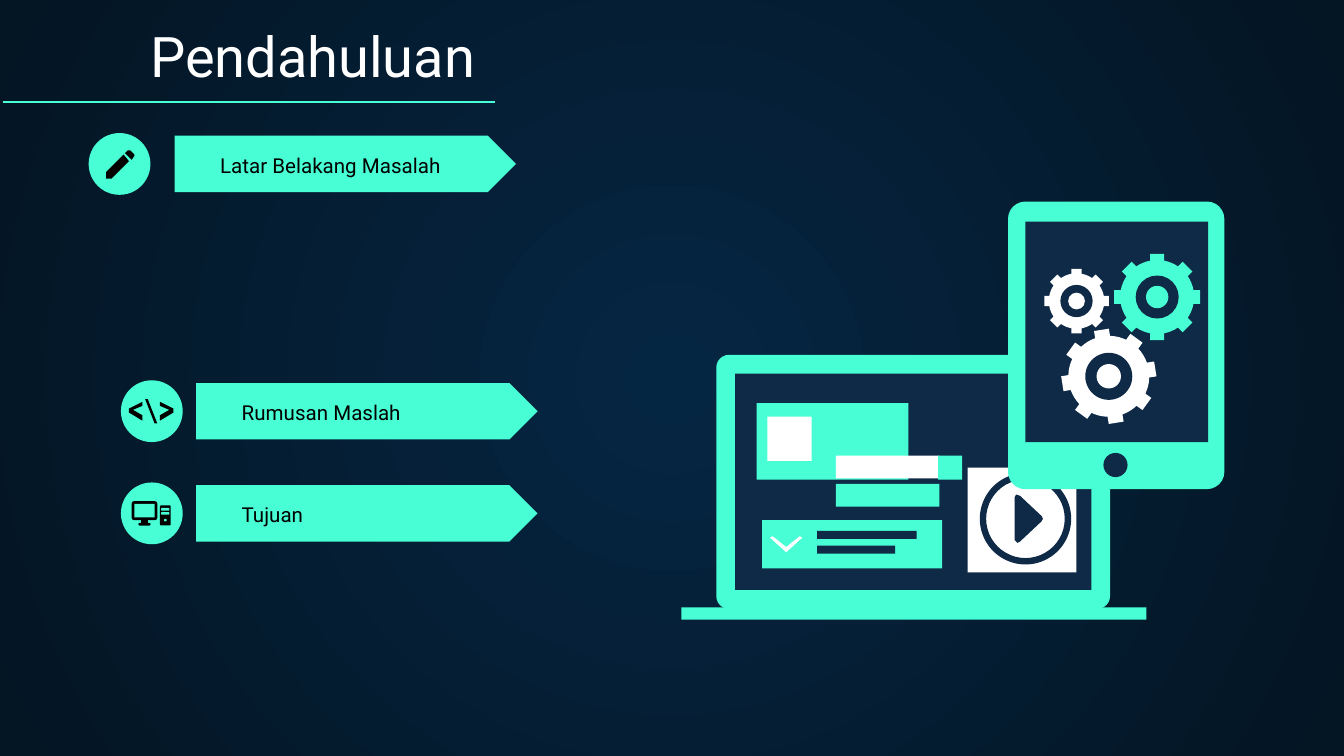
import math
from dataclasses import dataclass

import pptx
import pptx.util
import pptx.dml.color
import pptx.enum.shapes
import pptx.enum.text
import pptx.oxml
import pptx.oxml.ns
from lxml import etree

Inches = pptx.util.Inches
MSO = pptx.enum.shapes.MSO_SHAPE
qn = pptx.oxml.ns.qn
FONT = "Roboto"
COLORS = {
    "glow": "052643",
    "night": "041523",
    "mint": "48FFD5",
    "navy": "0E2A47",
    "white": "FFFFFF",
    "black": "000000",
}


@dataclass
class Topic:
    label: str
    left: float
    top: float
    icon_left: float


@dataclass
class Block:
    kind: MSO
    left: float
    top: float
    width: float
    height: float
    color: str
    adj: float | None = None


@dataclass
class Outline:
    points: list[tuple[float, float]]
    color: str


@dataclass
class Gear:
    x: float
    y: float
    radius: float
    turn: float
    color: str


def rgb(name: str) -> pptx.dml.color.RGBColor:
    return pptx.dml.color.RGBColor.from_string(COLORS[name])


def paint(sp, color: str) -> None:
    sp.shadow.inherit = False
    sp.fill.solid()
    sp.fill.fore_color.rgb = rgb(color)
    sp.line.fill.background()


def draw_block(s, b: Block) -> None:
    sp = s.shapes.add_shape(b.kind, Inches(b.left), Inches(b.top), Inches(b.width), Inches(b.height))
    paint(sp, b.color)
    if b.adj is not None:
        sp.adjustments[0] = b.adj


def draw_outline(s, o: Outline) -> None:
    points = [(Inches(x), Inches(y)) for x, y in o.points]
    builder = s.shapes.build_freeform(*points[0])
    builder.add_line_segments(points[1:], close=True)
    paint(builder.convert_to_shape(), o.color)


def disc(x: float, y: float, radius: float, color: str) -> Block:
    return Block(MSO.OVAL, x - radius, y - radius, 2 * radius, 2 * radius, color)


def draw_gear(s, g: Gear) -> None:
    teeth = 8
    body = 0.86 * g.radius
    half = 0.16 * g.radius
    root = math.asin(half / body)
    tip = math.atan(half / g.radius)
    gap = 2 * math.pi / teeth - 2 * root
    polar = [(body, -root), (math.hypot(g.radius, half), -tip), (math.hypot(g.radius, half), tip)]
    polar += [(body, root + gap * i / 4) for i in range(4)]
    points = []
    for tooth in range(teeth):
        start = math.radians(g.turn) + tooth * 2 * math.pi / teeth
        points += [(g.x + r * math.cos(start + a), g.y + r * math.sin(start + a)) for r, a in polar]
    draw_outline(s, Outline(points, g.color))
    draw_block(s, disc(g.x, g.y, 0.5 * g.radius, "navy"))
    draw_block(s, disc(g.x, g.y, 0.26 * g.radius, g.color))


def draw_text(s, text: str, left: float, top: float, width: float, height: float,
              size: float, color: str) -> None:
    tf = s.shapes.add_textbox(Inches(left), Inches(top), Inches(width), Inches(height)).text_frame
    tf.word_wrap = True
    tf.auto_size = pptx.enum.text.MSO_AUTO_SIZE.NONE
    tf.vertical_anchor = pptx.enum.text.MSO_ANCHOR.BOTTOM
    tf.margin_left = tf.margin_right = tf.margin_top = tf.margin_bottom = Inches(0.1)
    r = tf.paragraphs[0].add_run()
    r.text = text
    r.font.name = FONT
    r.font.size = pptx.util.Pt(size)
    r.font.color.rgb = rgb(color)


def draw_topic(s, t: Topic) -> None:
    height, icon = 0.42, 0.46
    draw_block(s, Block(MSO.PENTAGON, t.left, t.top, 2.54, height, "mint", 0.5))
    draw_block(s, Block(MSO.OVAL, t.icon_left, t.top + (height - icon) / 2, icon, icon, "mint"))
    draw_text(s, t.label, t.left + 0.24, t.top + 0.2, 2.27, 0.21, 11, "black")


def draw_rule(s) -> None:
    line = s.shapes.add_connector(pptx.enum.shapes.MSO_CONNECTOR.STRAIGHT,
                                  Inches(0.02), Inches(0.76), Inches(3.68), Inches(0.76))
    line.line.color.rgb = rgb("mint")
    line.line.width = pptx.util.Pt(0.75)
    etree.SubElement(line._element.spPr, qn("a:effectLst"))


def set_background(s) -> None:
    fill = s.background.fill
    fill.gradient()
    for stop, color in zip(fill.gradient_stops, ("glow", "night")):
        stop.color.rgb = rgb(color)
    grad = s._element.find(".//" + qn("a:gradFill"))
    grad.remove(grad.find(qn("a:lin")))
    circle = etree.SubElement(grad, qn("a:path"), {"path": "circle"})
    etree.SubElement(circle, qn("a:fillToRect"), dict.fromkeys("ltrb", "50000"))


TOPICS = [
    Topic("Latar Belakang Masalah", 1.3, 1.01, 0.66),
    Topic("Rumusan Maslah", 1.46, 2.85, 0.9),
    Topic("Tujuan", 1.46, 3.61, 0.9),
]

PENCIL = [
    Outline([(0.92, 1.15), (0.79, 1.28), (0.79, 1.33), (0.83, 1.33), (0.96, 1.2)], "black"),
    Outline([(0.93, 1.14), (0.95, 1.12), (0.97, 1.12), (1, 1.15), (1, 1.16), (0.98, 1.19)], "black"),
]
BRACKET = [(0, 0.08), (0, 0.05), (0.1, 0), (0.1, 0.03), (0.03, 0.06), (0.1, 0.1), (0.1, 0.14)]
CODE = [
    Outline([(0.96 + x, 2.99 + y) for x, y in BRACKET], "black"),
    Outline([(1.08, 2.97), (1.1, 2.97), (1.17, 3.15), (1.15, 3.15)], "black"),
    Outline([(1.29 - x, 2.99 + y) for x, y in BRACKET], "black"),
]
COMPUTER = [
    Block(MSO.ROUNDED_RECTANGLE, 0.98, 3.73, 0.19, 0.14, "black", 0.12),
    Block(MSO.RECTANGLE, 1, 3.75, 0.15, 0.1, "mint"),
    Block(MSO.RECTANGLE, 1.05, 3.87, 0.05, 0.03, "black"),
    Block(MSO.ROUNDED_RECTANGLE, 1.03, 3.89, 0.09, 0.02, "black", 0.5),
    Block(MSO.ROUNDED_RECTANGLE, 1.19, 3.76, 0.08, 0.15, "black", 0.12),
    Block(MSO.ROUNDED_RECTANGLE, 1.2, 3.78, 0.06, 0.02, "mint", 0.25),
    Block(MSO.ROUNDED_RECTANGLE, 1.2, 3.81, 0.06, 0.02, "mint", 0.25),
    disc(1.23, 3.87, 0.01, "mint"),
]
LAPTOP = [
    Block(MSO.ROUNDED_RECTANGLE, 5.33, 2.64, 2.93, 1.89, "mint", 0.05),
    Block(MSO.RECTANGLE, 5.47, 2.78, 2.65, 1.61, "navy"),
    Block(MSO.RECTANGLE, 5.07, 4.52, 3.46, 0.09, "mint"),
    Block(MSO.RECTANGLE, 5.63, 3, 1.13, 0.57, "mint"),
    Block(MSO.RECTANGLE, 5.71, 3.1, 0.33, 0.33, "white"),
    Block(MSO.RECTANGLE, 5.67, 3.87, 1.34, 0.36, "mint"),
    Block(MSO.RECTANGLE, 6.08, 3.95, 0.74, 0.06, "navy"),
    Block(MSO.RECTANGLE, 6.08, 4.06, 0.58, 0.06, "navy"),
    Block(MSO.RECTANGLE, 6.22, 3.6, 0.77, 0.17, "mint"),
    Block(MSO.RECTANGLE, 6.22, 3.39, 0.77, 0.17, "white"),
    Block(MSO.RECTANGLE, 6.98, 3.39, 0.18, 0.18, "mint"),
    Block(MSO.RECTANGLE, 7.2, 3.48, 0.81, 0.78, "white"),
    Block(MSO.DONUT, 7.29, 3.52, 0.68, 0.68, "navy", 0.07),
]
SCREEN_MARKS = [
    Outline([(5.75, 3.99), (5.85, 4.07), (5.95, 3.99), (5.97, 4), (5.96, 4.01), (5.86, 4.1),
             (5.85, 4.11), (5.84, 4.1), (5.74, 4.01), (5.73, 4)], "white"),
    Outline([(7.55, 3.7), (7.56, 3.68), (7.59, 3.69), (7.75, 3.84), (7.76, 3.86), (7.75, 3.88),
             (7.59, 4.03), (7.57, 4.04), (7.55, 4.02)], "navy"),
]
TABLET = [
    Block(MSO.ROUNDED_RECTANGLE, 7.5, 1.5, 1.61, 2.14, "mint", 0.08),
    Block(MSO.RECTANGLE, 7.63, 1.65, 1.36, 1.64, "navy"),
    disc(8.3, 3.46, 0.09, "navy"),
]
GEARS = [
    Gear(8.61, 2.21, 0.32, 0, "mint"),
    Gear(8.01, 2.24, 0.24, 0, "white"),
    Gear(8.25, 2.8, 0.35, -9, "white"),
]


def main() -> None:
    prs = pptx.Presentation()
    prs.slide_width = Inches(10)
    prs.slide_height = Inches(10 * 9 / 16)
    s = prs.slides.add_slide(prs.slide_layouts[6])
    set_background(s)
    draw_text(s, "Pendahuluan", 1.02, 0.1, 8.57, 0.66, 30, "white")
    draw_rule(s)
    for topic in TOPICS:
        draw_topic(s, topic)
    for block in COMPUTER + LAPTOP:
        draw_block(s, block)
    for outline in PENCIL + CODE + SCREEN_MARKS:
        draw_outline(s, outline)
    for block in TABLET:
        draw_block(s, block)
    for gear in GEARS:
        draw_gear(s, gear)
    prs.save("out.pptx")


if __name__ == "__main__":
    main()
